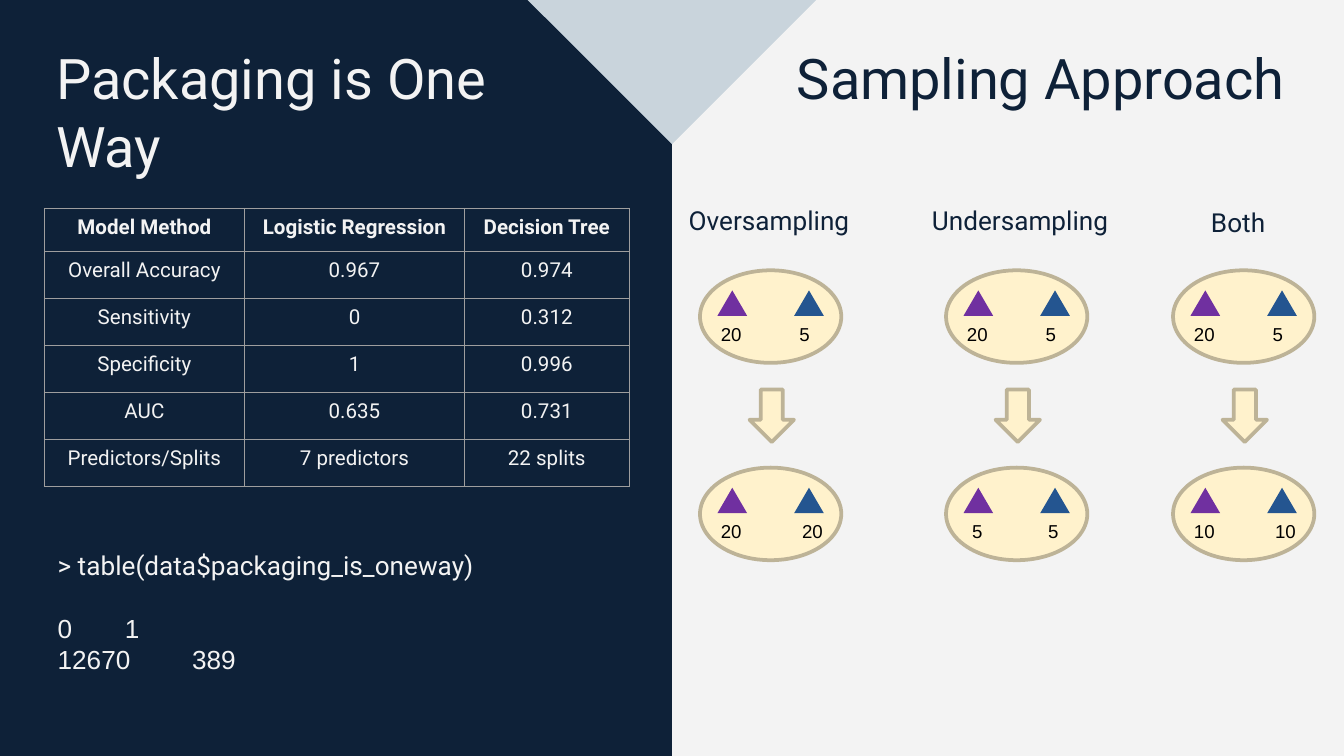
import pptx
import pptx.util
import pptx.dml.color
import pptx.enum.shapes
import pptx.enum.text
import pptx.oxml.ns
import lxml.etree

Cm = pptx.util.Cm
Pt = pptx.util.Pt
RGBColor = pptx.dml.color.RGBColor
KIND = pptx.enum.shapes.MSO_SHAPE
ALIGN = pptx.enum.text.PP_ALIGN
qn = pptx.oxml.ns.qn

NAVY = RGBColor(0x0E, 0x21, 0x38)
PALE = RGBColor(0xF3, 0xF3, 0xF3)
MIST = RGBColor(0xC9, 0xD4, 0xDC)
CREAM = RGBColor(0xFF, 0xF2, 0xCC)
TAN = RGBColor(0xBD, 0xB3, 0x97)
PURPLE = RGBColor(0x70, 0x30, 0xA0)
BLUE = RGBColor(0x24, 0x55, 0x90)
BLACK = RGBColor(0, 0, 0)
GREY = "9E9E9E"


def write(frame, text, size=14, font="Roboto", color=NAVY, bold=False,
          align=ALIGN.LEFT, inset=None):
    """Fill a text frame, one paragraph for each line of text."""
    frame.word_wrap = True
    if inset is not None:
        frame.margin_left = frame.margin_right = inset
        frame.margin_top = frame.margin_bottom = inset
    for i, line in enumerate(text.split("\n")):
        para = frame.add_paragraph() if i else frame.paragraphs[0]
        para.alignment = align
        run = para.add_run()
        run.text = line
        run.font.size = Pt(size)
        run.font.name = font
        run.font.bold = bold
        run.font.color.rgb = color


def draw(home, kind, x, y, w, h, fill, line=None):
    """Add a flat preset shape, with places in centimetres."""
    shape = home.add_shape(kind, Cm(x), Cm(y), Cm(w), Cm(h))
    shape.shadow.inherit = False
    shape.fill.solid()
    shape.fill.fore_color.rgb = fill
    if line is None:
        shape.line.fill.background()
    else:
        shape.line.color.rgb = line
        shape.line.width = Pt(2)
    return shape


deck = pptx.Presentation()
deck.slide_width = Cm(25.4)
deck.slide_height = Cm(14.29)
slide = deck.slides.add_slide(deck.slide_layouts[6])
shapes = slide.shapes

# Background and the two snipped halves
slide.background.fill.solid()
slide.background.fill.fore_color.rgb = MIST
for x, tint in ((12.7, PALE), (0, NAVY)):
    half = draw(shapes, KIND.SNIP_1_RECTANGLE, x, 0, 12.7, 14.29, tint)
    half.adjustments[0] = 0.215
    if x:
        half._element.spPr.find(qn("a:xfrm")).set("flipH", "1")

# Titles
for x, text, tint in ((0.81, "Packaging is One Way", PALE),
                      (14.81, "Sampling Approach", NAVY)):
    box = shapes.add_textbox(Cm(x), Cm(0.58), Cm(10.19), Cm(1.68))
    write(box.text_frame, text, size=30, color=tint, inset=Cm(0.25))

# Table of model results
data = (
    ("Model Method", "Logistic Regression", "Decision Tree"),
    ("Overall Accuracy", "0.967", "0.974"),
    ("Sensitivity", "0", "0.312"),
    ("Specificity", "1", "0.996"),
    ("AUC", "0.635", "0.731"),
    ("Predictors/Splits", "7 predictors", "22 splits"),
)
table = shapes.add_table(6, 3, Cm(0.84), Cm(3.94), Cm(11.05), Cm(5.23)).table
table.first_row = table.horz_banding = False
for col, width in zip(table.columns, (3.78, 4.16, 3.11)):
    col.width = Cm(width)
for r, row in enumerate(data):
    table.rows[r].height = Cm(0.89 if r else 0.81)
    for c, text in enumerate(row):
        cell = table.cell(r, c)
        write(cell.text_frame, text, size=11, color=PALE, bold=r == 0,
              align=ALIGN.CENTER)
        props = cell._tc.get_or_add_tcPr()
        for side in ("a:lnL", "a:lnR", "a:lnT", "a:lnB"):
            edge = lxml.etree.SubElement(props, qn(side), w="9525")
            solid = lxml.etree.SubElement(edge, qn("a:solidFill"))
            lxml.etree.SubElement(solid, qn("a:srgbClr"), val=GREY)
        cell.fill.background()

# Class counts
box = shapes.add_textbox(Cm(0.84), Cm(10.26), Cm(8.51), Cm(2.64))
write(box.text_frame, "> table(data$packaging_is_oneway)\n0\t1\n12670\t389",
      color=PALE)
paras = box.text_frame.paragraphs
paras[1].space_before = Pt(17)
for para in paras[1:]:
    para.runs[0].font.name = "Arial"

# Sampling columns: label, label place, column left, counts after sampling
plans = (
    ("Oversampling", 12.01, 3.61, 5.05, 13.23, ("20", "20")),
    ("Undersampling", 16.56, 3.61, 5.44, 17.88, ("5", "5")),
    ("Both", 20.68, 3.66, 5.44, 22.17, ("10", "10")),
)
for label, left, top, width, x, after in plans:
    home = shapes.add_group_shape().shapes
    box = home.add_textbox(Cm(left), Cm(top), Cm(width), Cm(1.65))
    write(box.text_frame, label, align=ALIGN.CENTER, inset=Cm(0.25))

    # Ovals before and after, each with two counted triangles
    for y, counts, shift in ((5.11, ("20", "5"), 1.63), (8.84, after, 1.68)):
        draw(home, KIND.OVAL, x, y, 2.67, 1.75, CREAM, TAN)
        marks = ((0.33, 0.08, PURPLE, ALIGN.CENTER),
                 (1.78, shift, BLUE, ALIGN.LEFT))
        for count, (dx, tx, tint, align) in zip(counts, marks):
            draw(home, KIND.ISOSCELES_TRIANGLE, x + dx, y + 0.38, 0.56, 0.48,
                 tint)
            box = home.add_textbox(Cm(x + tx), Cm(y + 0.86), Cm(1.02),
                                   Cm(0.6))
            write(box.text_frame, count, size=10, font="Arial", color=BLACK,
                  align=align)

    # Arrow between the ovals
    arrow = draw(home, KIND.RIGHT_ARROW, x + 0.86, 7.44, 0.99, 0.84, CREAM,
                 TAN)
    arrow.rotation = 90

deck.save("out.pptx")
